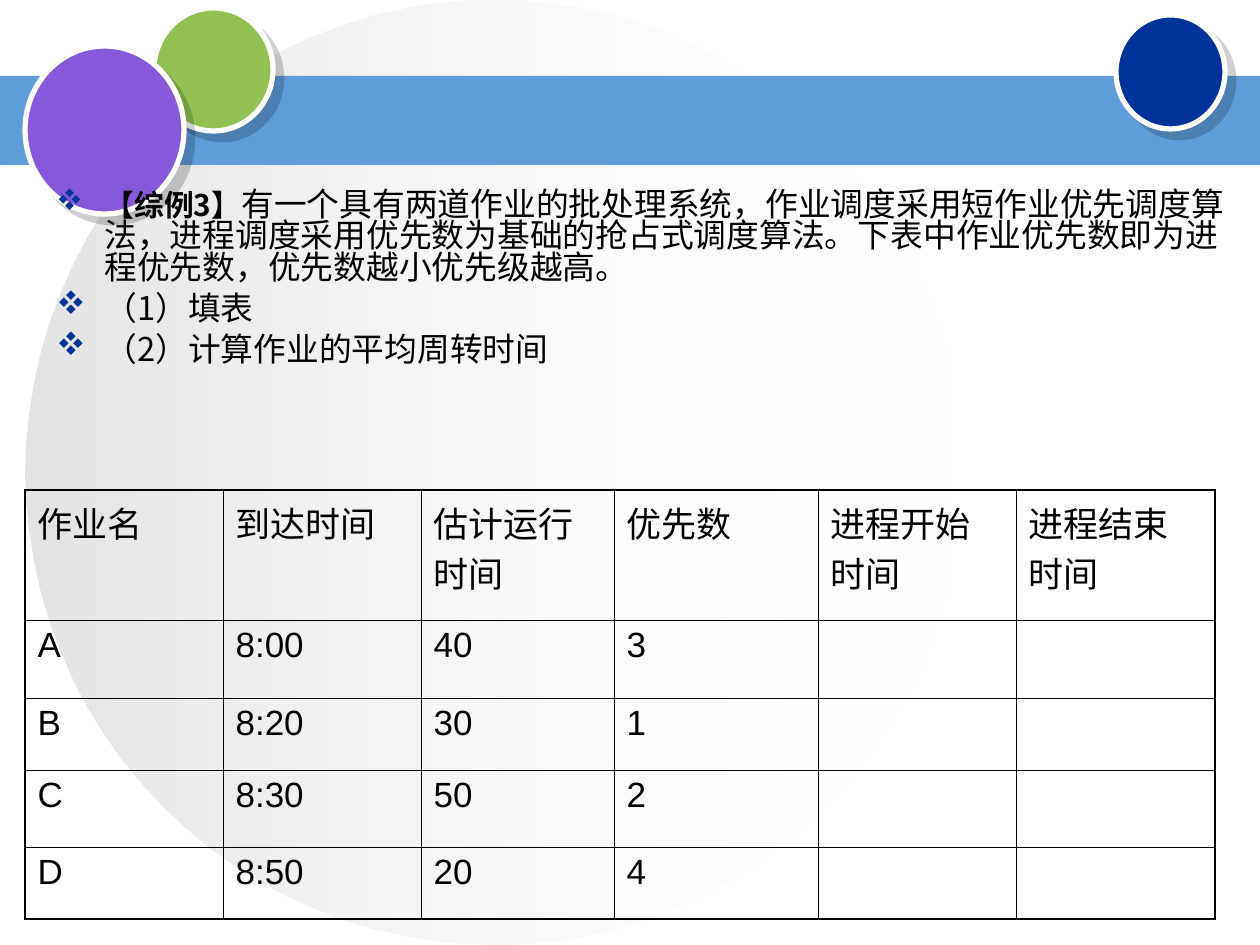
from pptx import Presentation
from pptx.dml.color import RGBColor as RGB
from pptx.enum.shapes import MSO_SHAPE as Kind
from pptx.oxml import parse_xml as to_xml
from pptx.oxml.ns import nsdecls, qn
from pptx.util import Emu, Pt

px = 914400 / 126
theme = dict(
    paper="FFFFFF", ink="000000", band="5E9CDA", green="93C052",
    navy="003399", violet="855ADA", pale="FEFEFE", gray="C0C0C0",
    head=Pt(17), body=Pt(18.7), cell=Pt(20), ring=Pt(3),
    thin=Pt(0.45), thick=Pt(1.08), cjk="Noto Sans CJK SC", latin="Arial",
)


def style(obj, vals):
    for key, val in vals.items():
        setattr(obj, key, val)


def add(node, tag, inner):
    name, _, rest = tag.partition(" ")
    node.append(to_xml(f"<a:{name} {nsdecls('a')} {rest}>{inner}</a:{name}>"))


deck = Presentation()
style(deck, dict(slide_width=Emu(round(1260 * px)), slide_height=Emu(round(945 * px))))
slide = deck.slides.add_slide(deck.slide_layouts[6])
slide.background.fill.solid()
slide.background.fill.fore_color.rgb = RGB.from_string(theme["paper"])

forms = [
    (Kind.OVAL, None, (25, 0, 937, 945)),
    (Kind.RECTANGLE, "band", (0, 76, 1260, 89)),
    (Kind.OVAL, "green", (154, 8, 119, 123)),
    (Kind.OVAL, "navy", (1116, 15, 109, 114)),
    (Kind.OVAL, "violet", (25, 46, 159, 168)),
]
for kind, hue, box in forms:
    form = slide.shapes.add_shape(kind, *[Emu(round(n * px)) for n in box])
    props = form._element.spPr
    if hue:
        form.fill.solid()
        form.fill.fore_color.rgb = RGB.from_string(theme[hue])
    else:
        add(props, 'gradFill rotWithShape="1"',
            f'<a:gsLst><a:gs pos="0"><a:srgbClr val="{theme["pale"]}"><a:alpha val="0"/></a:srgbClr></a:gs>'
            f'<a:gs pos="100000"><a:srgbClr val="{theme["gray"]}"><a:alpha val="44000"/></a:srgbClr></a:gs>'
            '</a:gsLst><a:lin ang="10800000" scaled="0"/>')
    form.shadow.inherit = False
    if hue in ("green", "navy", "violet"):
        form.line.color.rgb = RGB.from_string(theme["paper"])
        form.line.width = theme["ring"]
        add(props.find(qn("a:effectLst")),
            f'outerShdw blurRad="0" dist="{Pt(7.1)}" dir="2700000" algn="ctr" rotWithShape="0"',
            f'<a:srgbClr val="{theme["ink"]}"><a:alpha val="19000"/></a:srgbClr>')
    else:
        form.line.fill.background()

lines = [
    [("【综例3】", True),
     ("有一个具有两道作业的批处理系统，作业调度采用短作业优先调度算法，"
      "进程调度采用优先数为基础的抢占式调度算法。"
      "下表中作业优先数即为进程优先数，优先数越小优先级越高。", False)],
    [("（1）填表", False)],
    [("（2）计算作业的平均周转时间", False)],
]
body = slide.shapes.add_textbox(*[Emu(round(n * px)) for n in (44, 185, 1216, 228)])
frame = body.text_frame
frame.word_wrap = True
for i, line in enumerate(lines):
    para = frame.add_paragraph() if i else frame.paragraphs[0]
    style(para, dict(line_spacing=0.8, space_before=Pt(5.5)))
    props = para._p.get_or_add_pPr()
    props.set("marL", str(round(48 * px)))
    props.set("indent", str(round(-48 * px)))
    add(props, "buClr", f'<a:srgbClr val="{theme["navy"]}"/>')
    add(props, 'buFont typeface="Wingdings" pitchFamily="2" charset="2"', "")
    add(props, 'buChar char="v"', "")
    for text, bold in line:
        run = para.add_run()
        run.text = text
        style(run.font, dict(size=theme["head" if bold else "body"], bold=bold, name=theme["cjk"]))
        run.font.color.rgb = RGB.from_string(theme["ink"])
        add(run._r.rPr, f'ea typeface="{theme["cjk"]}"', "")

rows = [
    ["作业名", "到达时间", "估计运行时间", "优先数", "进程开始时间", "进程结束时间"],
    ["A", "8:00", "40", "3", "", ""],
    ["B", "8:20", "30", "1", "", ""],
    ["C", "8:30", "50", "2", "", ""],
    ["D", "8:50", "20", "4", "", ""],
]
wide = [198, 198, 193, 204, 198, 199]
high = [130, 78, 72, 77, 72]
box = (25, 490, sum(wide), sum(high))
table = slide.shapes.add_table(len(high), len(wide), *[Emu(round(n * px)) for n in box]).table
style(table, dict(first_row=False, horz_banding=False))
for col, n in zip(table.columns, wide):
    col.width = Emu(round(n * px))
for row, n in zip(table.rows, high):
    row.height = Emu(round(n * px))
for r, row in enumerate(rows):
    for c, text in enumerate(row):
        cell = table.cell(r, c)
        props = cell._tc.get_or_add_tcPr()
        edges = dict(L=c == 0, R=c == len(wide) - 1, T=r == 0, B=r == len(high) - 1)
        for side, outer in edges.items():
            add(props, f'ln{side} w="{theme["thick" if outer else "thin"]}"',
                f'<a:solidFill><a:srgbClr val="{theme["ink"]}"/></a:solidFill>')
        cell.fill.background()
        if text:
            para = cell.text_frame.paragraphs[0]
            para.space_before = Pt(5)
            run = para.add_run()
            run.text = text
            style(run.font, dict(size=theme["cell"], name=theme["latin"]))
            run.font.color.rgb = RGB.from_string(theme["ink"])

deck.save("out.pptx")
